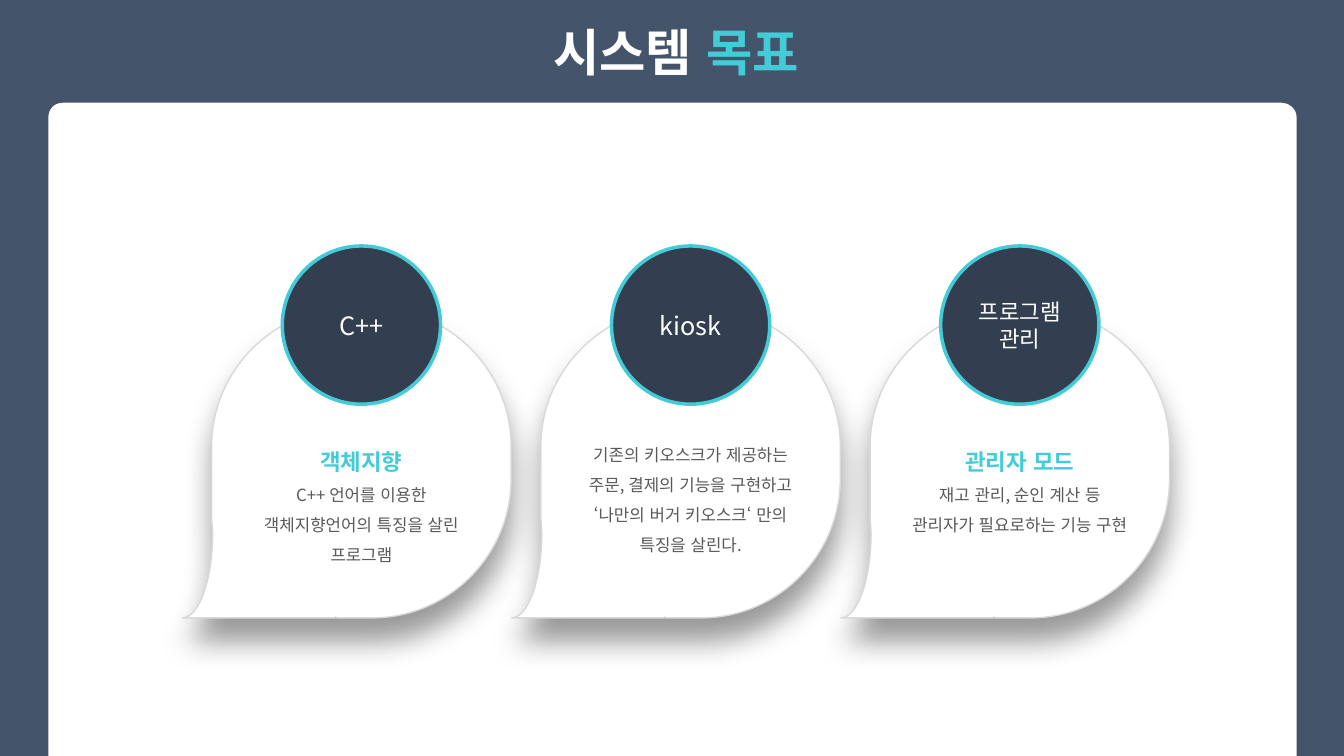
from lxml import etree
from pptx import Presentation
from pptx.dml.color import RGBColor
from pptx.enum import lang, shapes, text
from pptx.oxml import ns
from pptx.util import Inches, Pt

FONT = "Noto Sans CJK KR"
WHITE, TEAL, NAVY, SLATE = "FFFFFF", "43CBD7", "333F50", "44546A"
GREY, EDGE = "595959", "D9D9D9"
FIRST_LEFT, LAST_LEFT = 1.81, 8.34

FRAME = [(0, 0), (13.33, 0), (13.33, 7.5), (12.86, 7.5), (12.86, 1.47), (12.86, 1.16),
         (12.86, 1.08, 12.79, 1.02, 12.72, 1.02), (0.62, 1.02),
         (0.54, 1.02, 0.48, 1.08, 0.48, 1.16), (0.48, 1.47), (0.48, 7.5), (0, 7.5)]
BUBBLE = [(1.68, 0), (1.88, 0), (2.64, 0, 3.26, 0.62, 3.26, 1.38), (3.26, 1.7),
          (3.26, 2.46, 2.64, 3.08, 1.88, 3.08), (1.68, 3.08),
          (1.63, 3.08, 1.58, 3.08, 1.53, 3.08), (1.52, 3.07), (1.51, 3.08),
          (1.5, 3.08, 1.49, 3.08, 1.48, 3.08), (0, 3.08),
          (0.16, 3.08, 0.3, 2.71, 0.3, 2.24), (0.3, 2.18, 0.29, 2.13, 0.29, 2.07),
          (0.29, 2.03), (0.29, 1.92), (0.29, 1.7), (0.29, 1.4), (0.29, 1.38),
          (0.29, 0.62, 0.91, 0, 1.68, 0)]
GOALS = [
    (["C++"], 18, "객체지향", "C++ 언어를 이용한 객체지향언어의 특징을 살린 프로그램", 1.11),
    (["kiosk"], 18, None,
     "기존의 키오스크가 제공하는 주문, 결제의 기능을 구현하고 ‘나만의 버거 키오스크‘ 만의 특징을 살린다.", 1.31),
    (["프로그램", "관리"], 16, "관리자 모드",
     "재고 관리, 순인 계산 등 관리자가 필요로하는 기능 구현", 1.11),
]


def color(value):
    """Turn a hex string into a colour."""
    return RGBColor.from_string(value)


def paint(shape, fill, line=None, width=1):
    """Set fill and line of a shape, without the theme shadow."""
    shape.shadow.inherit = False
    shape.fill.solid()
    shape.fill.fore_color.rgb = color(fill)
    if line:
        shape.line.color.rgb = color(line)
        shape.line.width = Pt(width)
    else:
        shape.line.fill.background()


def add_outline(slide, outline, left=0, top=0):
    """Draw a closed outline whose six-number segments are Bezier curves."""
    points = [(Inches(left + x), Inches(top + y))
              for segment in outline for x, y in zip(segment[::2], segment[1::2])]
    builder = slide.shapes.build_freeform(*points[0], scale=1.0)
    builder.add_line_segments(points[1:], close=True)
    shape = builder.convert_to_shape()
    steps = iter(list(shape._element.iter(ns.qn("a:lnTo"))))
    for segment in outline[1:]:
        first = next(steps)
        if len(segment) == 6:
            curve = etree.Element(ns.qn("a:cubicBezTo"))
            first.addprevious(curve)
            for step in (first, next(steps), next(steps)):
                curve.append(step[0])
                step.getparent().remove(step)
    return shape


def add_shadow(shape):
    """Give a shape a soft shadow straight below it."""
    effects = shape._element.spPr.find(ns.qn("a:effectLst"))
    shadow = etree.SubElement(effects, ns.qn("a:outerShdw"), blurRad=str(Pt(21)),
                              dist=str(Pt(16)), dir="5400000", algn="t", rotWithShape="0")
    tint = etree.SubElement(shadow, ns.qn("a:srgbClr"), val="000000")
    etree.SubElement(tint, ns.qn("a:alpha"), val="40000")


def add_run(paragraph, content, size=12, fill=GREY, bold=False, spacing=None):
    """Add formatted text to a centred paragraph."""
    paragraph.alignment = text.PP_ALIGN.CENTER
    if spacing:
        paragraph.line_spacing = spacing
    run = paragraph.add_run()
    run.text = content
    run.font.name = FONT
    run.font.size = Pt(size)
    run.font.bold = bold
    run.font.color.rgb = color(fill)
    run.font.language_id = lang.MSO_LANGUAGE_ID.KOREAN


def add_textbox(slide, left, top, width, height, wrap=True):
    """Add a text box that grows with its text and return its frame."""
    frame = slide.shapes.add_textbox(*map(Inches, (left, top, width, height))).text_frame
    frame.word_wrap = wrap
    frame.auto_size = text.MSO_AUTO_SIZE.SHAPE_TO_FIT_TEXT
    return frame


def add_badge(slide, left, lines, size):
    """Add the round label on top of a bubble."""
    badge = slide.shapes.add_shape(shapes.MSO_SHAPE.OVAL, Inches(left), Inches(2.44),
                                   Inches(1.57), Inches(1.57))
    paint(badge, NAVY, TEAL, 2.5)
    frame = badge.text_frame
    frame.vertical_anchor = text.MSO_ANCHOR.MIDDLE
    for index, line in enumerate(lines):
        paragraph = frame.add_paragraph() if index else frame.paragraphs[0]
        add_run(paragraph, line, size=size, fill=WHITE)


def add_goal(slide, left, label, label_size, heading, body, height):
    """Add one goal: bubble, badge and description."""
    bubble = add_outline(slide, BUBBLE, left, 3.05)
    paint(bubble, WHITE, EDGE)
    add_shadow(bubble)
    add_badge(slide, left + 0.99, label, label_size)
    frame = add_textbox(slide, left + 0.56, 4.26, 2.43, height)
    paragraph = frame.paragraphs[0]
    if heading:
        add_run(paragraph, heading, size=16, fill=TEAL, bold=True, spacing=1.5)
        paragraph = frame.add_paragraph()
    add_run(paragraph, body, spacing=1.5)


def main():
    """Build the slide and save it."""
    deck = Presentation()
    deck.slide_width, deck.slide_height = Inches(13.33), Inches(7.5)
    slide = deck.slides.add_slide(deck.slide_layouts[6])
    paint(add_outline(slide, FRAME), SLATE)
    title = add_textbox(slide, 5.33, 0.16, 2.75, 0.71, wrap=False).paragraphs[0]
    add_run(title, "시스템 ", size=36, fill=WHITE, bold=True)
    add_run(title, "목표", size=36, fill=TEAL, bold=True)
    pitch = (LAST_LEFT - FIRST_LEFT) / (len(GOALS) - 1)
    for index, goal in enumerate(GOALS):
        add_goal(slide, FIRST_LEFT + index * pitch, *goal)
    deck.save("out.pptx")


if __name__ == "__main__":
    main()
